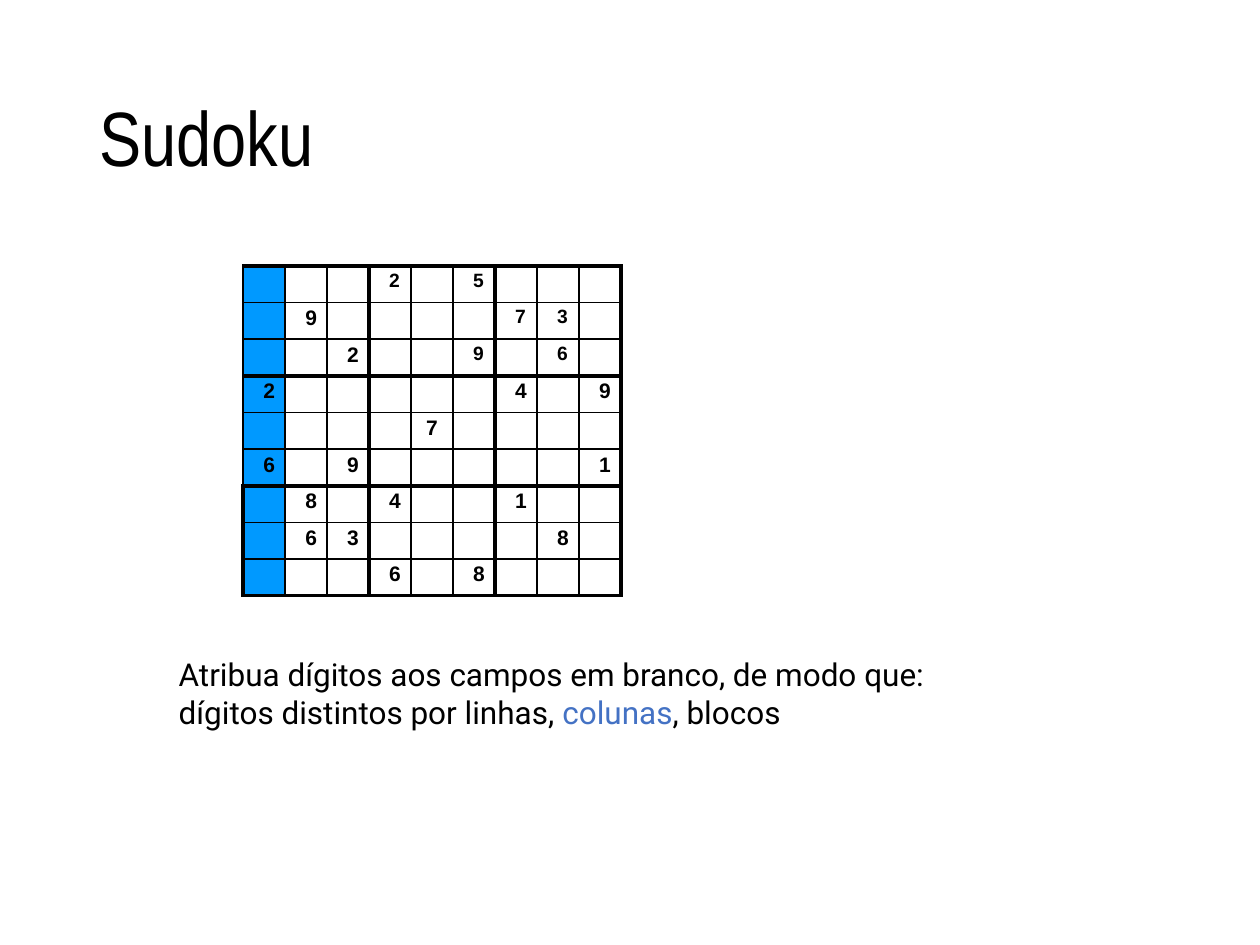
"""Build a Sudoku slide with the first column highlighted."""
from dataclasses import dataclass

from lxml.etree import SubElement
from pptx import Presentation
from pptx.dml.color import RGBColor
from pptx.enum.text import MSO_ANCHOR, MSO_AUTO_SIZE, PP_ALIGN
from pptx.oxml.ns import qn
from pptx.util import Inches, Pt


@dataclass(frozen=True)
class Theme:
    black: RGBColor = RGBColor(0x00, 0x00, 0x00)
    highlight: RGBColor = RGBColor(0x00, 0x99, 0xFF)
    accent: RGBColor = RGBColor(0x44, 0x72, 0xC4)
    title: Pt = Pt(44)
    body: Pt = Pt(18)
    digit: Pt = Pt(12)
    small_digit: Pt = Pt(11)
    thin: Pt = Pt(1)
    medium: Pt = Pt(1.5)
    thick: Pt = Pt(2.25)


theme = Theme()


def add_run(paragraph, text, font, size, color, bold=False):
    run = paragraph.add_run()
    run.text = text
    run.font.name = font
    run.font.size = size
    run.font.bold = bold
    run.font.color.rgb = color


def add_border(cell, side, width):
    line = SubElement(cell._tc.get_or_add_tcPr(), qn(f"a:ln{side}"), w=str(width))
    fill = SubElement(line, qn("a:solidFill"))
    SubElement(fill, qn("a:srgbClr"), val=str(theme.black))


presentation = Presentation()
presentation.slide_width = Inches(10)
presentation.slide_height = Inches(7.5)
slide = presentation.slides.add_slide(presentation.slide_layouts[6])

title = slide.shapes.add_textbox(Inches(0.69), Inches(0.4), Inches(8.62), Inches(1.45))
title.text_frame.word_wrap = True
title.text_frame.vertical_anchor = MSO_ANCHOR.MIDDLE
paragraph = title.text_frame.paragraphs[0]
paragraph.line_spacing = 0.9
add_run(paragraph, "Sudoku", "Arial Narrow", theme.title, theme.black)

puzzle = [
    "...2.5...",
    ".9....73.",
    "..2..9.6.",
    "2.....4.9",
    "....7....",
    "6.9.....1",
    ".8.4..1..",
    ".63....8.",
    "...6.8...",
]
small_digits = {(0, 3), (0, 5), (1, 6), (1, 7), (2, 5), (2, 7)}
centered_digit = (4, 4)

table = slide.shapes.add_table(
    9, 9, Inches(1.93), Inches(2.11), Inches(3), Inches(2.62)
).table
table.first_row = False
table.horz_banding = False
for column in table.columns:
    column.width = Inches(3 / 9)
for row in table.rows:
    row.height = Inches(2.62 / 9)

for row_index, digits in enumerate(puzzle):
    for column_index, digit in enumerate(digits):
        cell = table.cell(row_index, column_index)
        cell.margin_left = cell.margin_right = cell.margin_bottom = 0
        cell.margin_top = Inches(0.03)

        left = theme.thin if column_index % 3 else theme.thick
        if column_index == 0 and row_index < 6:
            left = theme.medium
        add_border(cell, "L", left)
        add_border(cell, "R", theme.thick if column_index % 3 == 2 else theme.thin)
        add_border(cell, "T", theme.thin if row_index % 3 else theme.thick)
        add_border(cell, "B", theme.thick if row_index % 3 == 2 else theme.thin)

        if column_index == 0:
            cell.fill.solid()
            cell.fill.fore_color.rgb = theme.highlight
        else:
            cell.fill.background()

        paragraph = cell.text_frame.paragraphs[0]
        if digit == ".":
            SubElement(paragraph._p, qn("a:endParaRPr"), sz=str(theme.digit.centipoints))
            continue
        position = (row_index, column_index)
        paragraph.space_before = Pt(3.2)
        if position == centered_digit:
            paragraph.alignment = PP_ALIGN.CENTER
        else:
            properties = paragraph._p.get_or_add_pPr()
            properties.set("marL", str(Inches(0.16)))
            properties.set("indent", "0")
        size = theme.small_digit if position in small_digits else theme.digit
        add_run(paragraph, digit, "Arial", size, theme.black, bold=True)

rules = slide.shapes.add_textbox(Inches(1.32), Inches(5.15), Inches(7.35), Inches(0.71))
rules.text_frame.word_wrap = True
rules.text_frame.auto_size = MSO_AUTO_SIZE.SHAPE_TO_FIT_TEXT
rule_lines = [
    [("Atribua dígitos aos campos em branco, de modo que:", theme.black)],
    [
        ("dígitos distintos por linhas, ", theme.black),
        ("colunas", theme.accent),
        (", blocos", theme.black),
    ],
]
for index, rule_line in enumerate(rule_lines):
    frame = rules.text_frame
    paragraph = frame.add_paragraph() if index else frame.paragraphs[0]
    for text, color in rule_line:
        add_run(paragraph, text, "Roboto", theme.body, color)

presentation.save("out.pptx")
